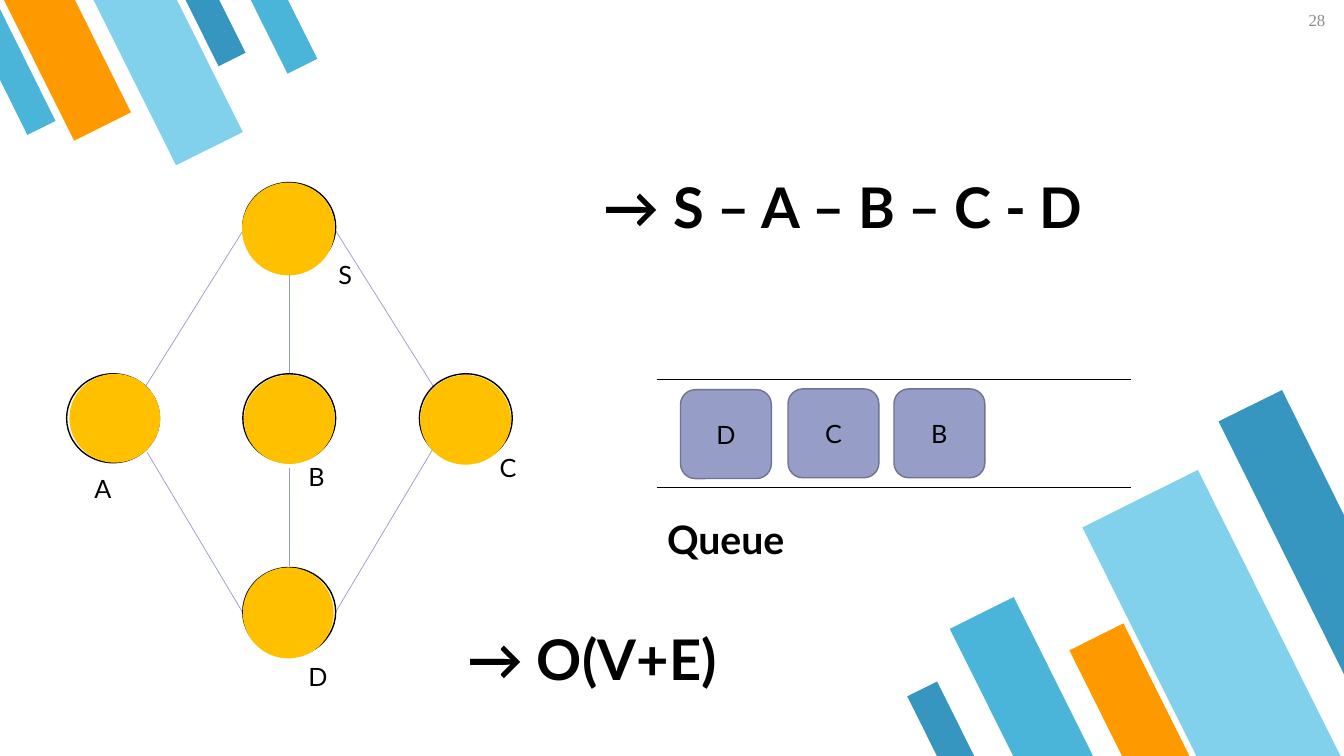
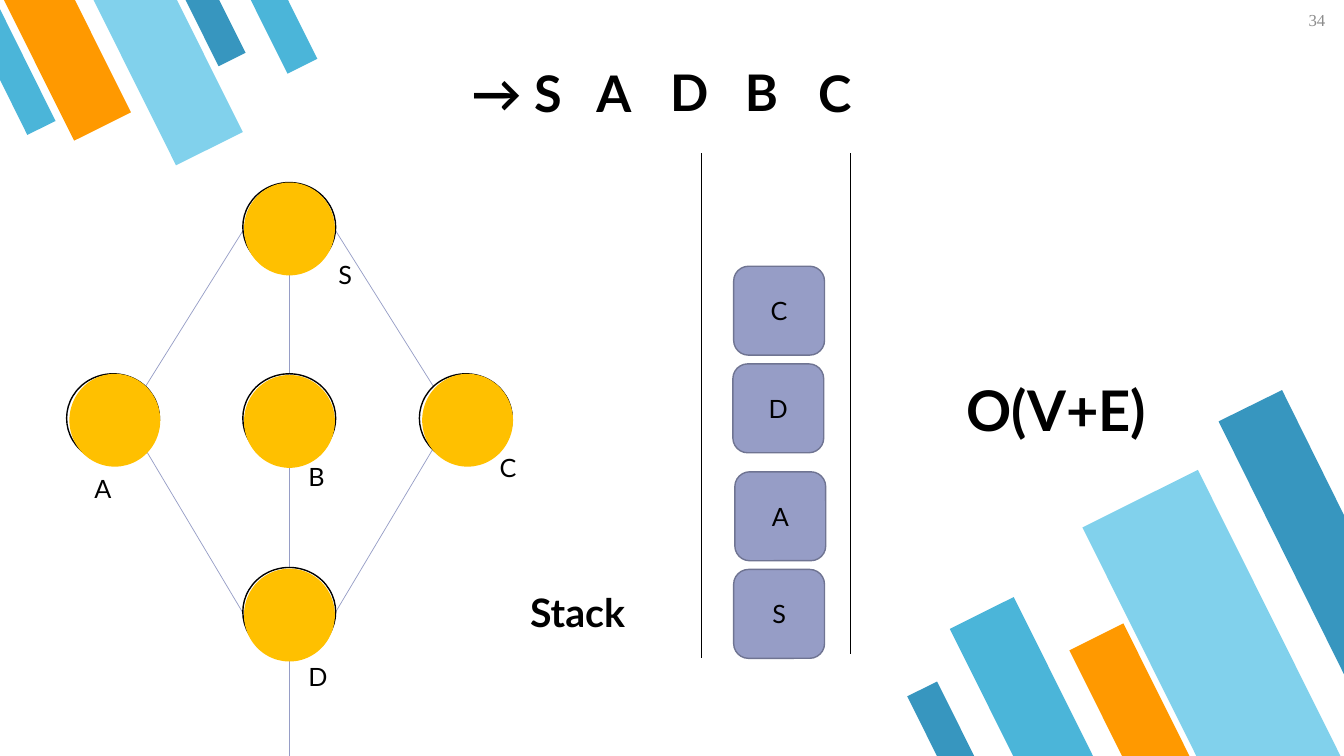
"""Two slides that trace breadth-first and depth-first search on one graph."""
from lxml.etree import SubElement
from pptx import Presentation
from pptx.dml.color import RGBColor
from pptx.enum.shapes import MSO_CONNECTOR, MSO_SHAPE
from pptx.enum.text import MSO_ANCHOR, MSO_AUTO_SIZE, PP_ALIGN
from pptx.oxml.ns import qn
from pptx.util import Cm, Pt

COL = {
    "black": "000000", "white": "FFFFFF", "grey": "8C8C8C", "gold": "FFC000",
    "lilac": "969DC6", "slate": "6F7492", "orange": "FF9900",
    "sky": "81D1EC", "blue": "4BB5D9", "deep": "3796BF",
}
FONT = "Lato"

BARS = {
    153.5: [
        ("blue", 24.84, 15.21, 1.8, 4.47),
        ("sky", 28.91, 12.14, 3.25, 8.08),
        ("orange", 27.71, 15.85, 1.52, 3.76),
        ("deep", 23.29, 17.25, 0.84, 2.11),
    ],
    333.5: [
        ("deep", 5.05, -0.28, 0.76, 1.88),
        ("orange", 0.89, -0.61, 1.6, 4.01),
        ("sky", 3.3, -0.66, 1.88, 4.65),
        ("blue", 6.73, -0.33, 0.84, 2.11),
    ],
}
CUT_BARS = [
    ("deep", [(32.31, 9.83), (30.71, 10.62), (33.87, 16.99), (33.87, 12.98)]),
    ("blue", [(0.69, 3.4), (1.4, 3.05), (0, 0.23), (0, 2.01)]),
]

RINGS = [(6.12, 4.6), (1.68, 9.42), (6.12, 9.42), (10.57, 9.42), (6.12, 14.3)]
LABELS = [("S", 8.28, 6.4), ("A", 2.13, 11.79), ("B", 7.52, 11.51),
          ("C", 12.34, 11.28), ("D", 7.52, 16.54)]
EDGES = [(8.43, 5.77, 10.95, 9.78), (6.15, 5.77, 3.66, 9.75),
         (3.71, 11.4, 6.12, 15.44), (10.9, 11.33, 8.46, 15.42)]
MID_X = 7.29
BOX_W, BOX_H = 2.29, 2.24

SLIDES = [
    {
        "number": "28",
        "spans": [(6.91, 9.45), (11.79, 14.27)],
        "discs": [(6.1, 4.6, 2.34, 2.34), (1.75, 9.42, 2.29, 2.24),
                  (6.15, 9.45, 2.29, 2.24), (10.59, 9.45, 2.29, 2.26),
                  (6.12, 14.3, 2.29, 2.29)],
        "rails": [(16.56, 9.55, 28.5, 9.55), (16.56, 12.29, 28.5, 12.29)],
        "boxes": [("D", 17.15, 9.82), ("C", 19.86, 9.8), ("B", 22.53, 9.8)],
        "texts": [("Queue", 28, 16.56, 12.85, 5.08, 1.45),
                  ("→ S – A – B – C - D", 40, 14.96, 4.22, 15.14, 1.96),
                  ("→ O(V+E)", 40, 11.53, 15.62, 15.14, 1.96)],
    },
    {
        "number": "34",
        "spans": [(6.91, 14.33), (16.66, 19.05)],
        "discs": [(6.15, 4.6, 2.29, 2.34), (1.75, 9.42, 2.29, 2.34),
                  (6.15, 9.45, 2.29, 2.34), (10.64, 9.42, 2.29, 2.34),
                  (6.15, 14.33, 2.29, 2.34)],
        "rails": [(17.68, 3.86, 17.68, 16.59), (21.44, 3.86, 21.44, 16.48)],
        "boxes": [("C", 18.49, 6.71), ("D", 18.47, 9.17),
                  ("A", 18.52, 11.89), ("S", 18.49, 14.35)],
        "texts": [("Stack", 28, 13.11, 14.71, 5.08, 1.45),
                  ("→ S", 36, 11.63, 1.45, 3.2, 1.8),
                  ("A", 36, 14.78, 1.45, 1.73, 1.8),
                  ("D", 36, 16.64, 1.42, 1.73, 1.8),
                  ("B", 36, 18.52, 1.42, 1.73, 1.8),
                  ("C", 36, 20.37, 1.45, 1.73, 1.8),
                  ("O(V+E)", 40, 24.1, 9.35, 5.64, 1.96)],
    },
]


def paint(sp, fill, line=None):
    sp.shadow.inherit = False
    sp.fill.solid()
    sp.fill.fore_color.rgb = RGBColor.from_string(COL[fill])
    if line:
        sp.line.color.rgb = RGBColor.from_string(COL[line])
        sp.line.width = Pt(1)
    else:
        sp.line.fill.background()


def write(sp, text, size, bold=False, align=PP_ALIGN.LEFT, font=FONT, color="black"):
    tf = sp.text_frame
    tf.word_wrap = True
    p = tf.paragraphs[0]
    p.alignment = align
    r = p.add_run()
    r.text = text
    r.font.name = font
    r.font.size = Pt(size)
    r.font.bold = bold
    r.font.color.rgb = RGBColor.from_string(COL[color])


prs = Presentation()
prs.slide_width, prs.slide_height = Cm(33.87), Cm(19.05)
layout = prs.slide_layouts[6]
pages = [prs.slides.add_slide(layout) for _ in SLIDES]

decor = []
for angle, bars in BARS.items():
    for color, *box in bars:
        sp = pages[0].shapes.add_shape(MSO_SHAPE.FLOWCHART_MANUAL_INPUT, *map(Cm, box))
        sp.rotation = angle
        sp.element.spPr.find(qn("a:xfrm")).set("flipH", "1")
        paint(sp, color)
        decor.append(sp)
for color, pts in CUT_BARS:
    pts = [(Cm(x), Cm(y)) for x, y in pts]
    fb = pages[0].shapes.build_freeform(*pts[0])
    fb.add_line_segments(pts[1:], close=True)
    sp = fb.convert_to_shape()
    paint(sp, color)
    decor.append(sp)
for sp in decor:
    layout.shapes.element.append(sp.element)

for s, data in zip(pages, SLIDES):
    spans = [(MID_X, top, MID_X, bottom) for top, bottom in data["spans"]]
    for color, lines in (("lilac", EDGES + spans), ("black", data["rails"])):
        for ends in lines:
            cx = s.shapes.add_connector(MSO_CONNECTOR.STRAIGHT, *map(Cm, ends))
            cx.line.color.rgb = RGBColor.from_string(COL[color])
            cx.line.width = Pt(0.5)
            SubElement(cx.element.spPr, qn("a:effectLst"))

    rings = [(x, y, 2.34, 2.24) for x, y in RINGS]
    for fill, line, circles in (("white", "black", rings), ("gold", None, data["discs"])):
        for box in circles:
            sp = s.shapes.add_shape(MSO_SHAPE.FLOWCHART_CONNECTOR, *map(Cm, box))
            paint(sp, fill, line)

    for text, x, y in data["boxes"]:
        sp = s.shapes.add_shape(MSO_SHAPE.ROUNDED_RECTANGLE, Cm(x), Cm(y), Cm(BOX_W), Cm(BOX_H))
        paint(sp, "lilac", "slate")
        sp.text_frame.vertical_anchor = MSO_ANCHOR.MIDDLE
        write(sp, text, 18, align=PP_ALIGN.CENTER)

    labels = [(text, 18, x, y, 1.4, 1.02) for text, x, y in LABELS]
    for bold, texts in ((False, labels), (True, data["texts"])):
        for text, size, *box in texts:
            sp = s.shapes.add_textbox(*map(Cm, box))
            sp.text_frame.auto_size = MSO_AUTO_SIZE.SHAPE_TO_FIT_TEXT
            write(sp, text, size, bold)

    sp = s.shapes.add_textbox(Cm(31.7), Cm(0), Cm(2.03), Cm(1.45))
    tf = sp.text_frame
    tf.margin_left = tf.margin_right = tf.margin_top = tf.margin_bottom = Cm(0.33)
    write(sp, data["number"], 12, align=PP_ALIGN.RIGHT, font="Times New Roman", color="grey")

prs.save("out.pptx")
